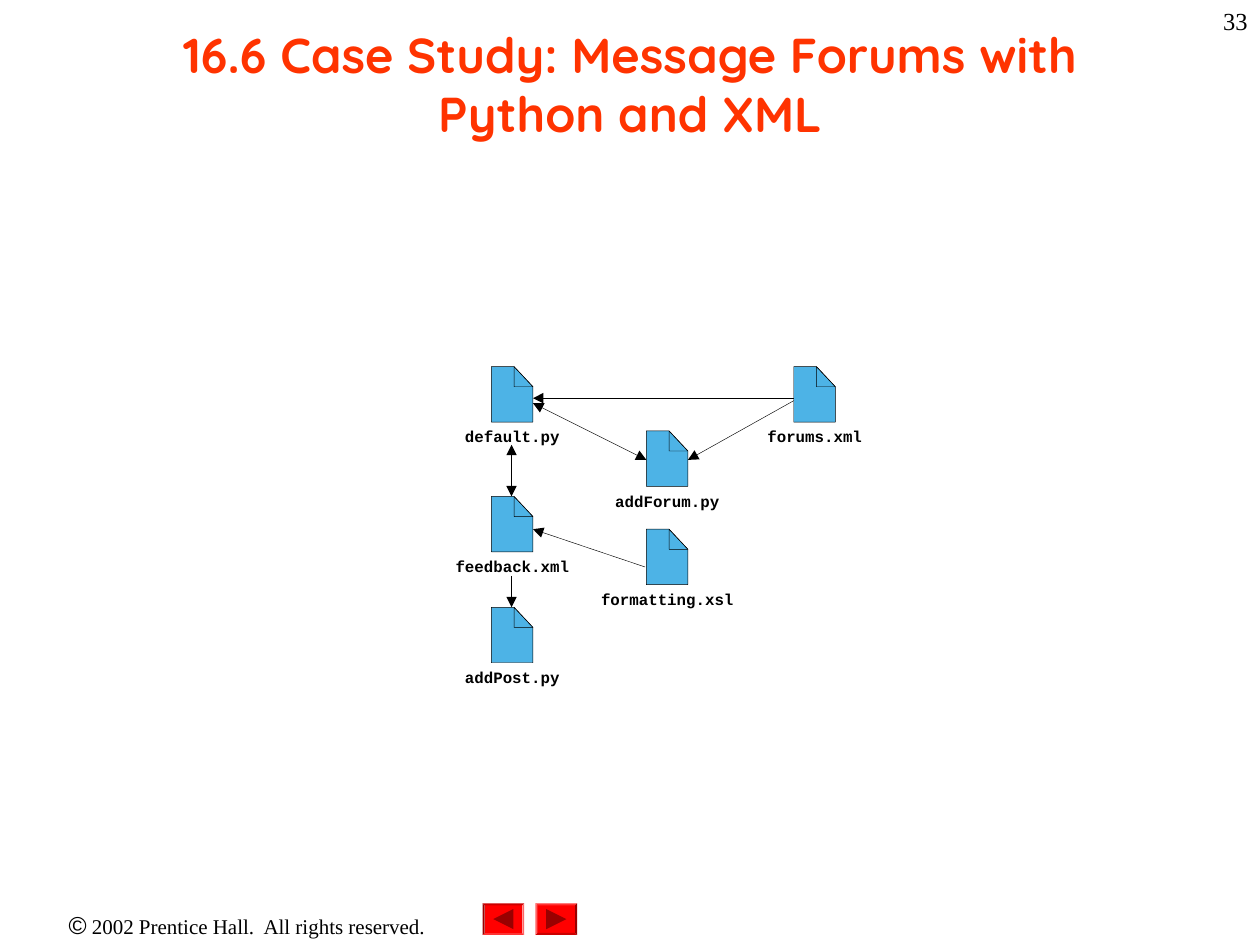
from dataclasses import dataclass

from lxml.etree import SubElement
from pptx import Presentation
from pptx.dml.color import RGBColor
from pptx.enum.shapes import MSO_CONNECTOR as Connector, MSO_SHAPE as Shape
from pptx.enum.text import MSO_ANCHOR as Anchor, PP_ALIGN as Align
from pptx.oxml.ns import qn
from pptx.util import Inches, Pt


@dataclass(frozen=True)
class Theme:
    black: RGBColor = RGBColor(0, 0, 0)
    title: RGBColor = RGBColor(0xFF, 0x33, 0x00)
    file: RGBColor = RGBColor(0x4D, 0xB3, 0xE6)
    button: RGBColor = RGBColor(0xFF, 0, 0)
    arrow: RGBColor = RGBColor(0x99, 0, 0)
    title_size: Pt = Pt(28)
    large: Pt = Pt(14)
    small: Pt = Pt(12)
    label: Pt = Pt(9)
    hairline: Pt = Pt(0.25)


theme = Theme()
deck = Presentation()
deck.slide_width, deck.slide_height = Inches(10), Inches(7.5)
page = deck.slides.add_slide(deck.slide_layouts[6])


def add_text(area, spans, align, anchor=Anchor.TOP, margins=(0.1, 0.05)):
    box = page.shapes.add_textbox(*map(Inches, area))
    side, edge = map(Inches, margins)
    frame = {"word_wrap": True, "vertical_anchor": anchor,
             "margin_left": side, "margin_right": side,
             "margin_top": edge, "margin_bottom": edge}
    for name, value in frame.items():
        setattr(box.text_frame, name, value)
    para = box.text_frame.paragraphs[0]
    para.alignment = align
    for text, face, size, color, bold in spans:
        span = para.add_run()
        span.text = text
        span.font.color.rgb = color
        for name, value in {"name": face, "size": size, "bold": bold}.items():
            setattr(span.font, name, value)


def add_outline(points, fill=None, line=None):
    corners = [(Inches(x), Inches(y)) for x, y in points]
    builder = page.shapes.build_freeform(*corners[0], scale=1.0)
    builder.add_line_segments(corners[1:], close=True)
    outline = builder.convert_to_shape()
    outline.shadow.inherit = False
    for part, color in ((outline.fill, fill), (outline.line.fill, line)):
        if color is None:
            part.background()
        else:
            part.solid()
            part.fore_color.rgb = color
    if line is not None:
        outline.line.width = theme.hairline


add_text((0, 7.17, 3.92, 0.34), [
    ("©", "Arial", theme.large, theme.black, False),
    (" 2002 Prentice Hall.  All rights reserved.", "Times New Roman",
     theme.small, theme.black, False),
], Align.CENTER)

button_top, button_width, button_height = 7.17, 0.33, 0.25
for left, direction, rotation in ((4.25, 1, 0), (3.83, -1, 180)):
    button = page.shapes.add_shape(Shape.BEVEL, Inches(left), Inches(button_top),
                                   Inches(button_width), Inches(button_height))
    button.adjustments[0] = 0.06
    button.rotation = rotation
    button.shadow.inherit = False
    button.fill.solid()
    button.fill.fore_color.rgb = theme.button
    button.line.fill.background()
    x, y = left + button_width / 2, button_top + button_height / 2
    back, tip = x - 0.08 * direction, x + 0.08 * direction
    add_outline([(back, y - 0.08), (tip, y), (back, y + 0.08)], fill=theme.arrow)

add_text((0.75, 0.08, 8.5, 1.17), [
    ("16.6 Case Study: Message Forums with Python and XML", "Quicksand",
     theme.title_size, theme.title, True),
], Align.CENTER, Anchor.MIDDLE)

links = [
    ((5.13, 3.65), (4.23, 3.2), ("headEnd", "tailEnd")),
    ((4.06, 4.57), (4.06, 4.82), ("tailEnd",)),
    ((4.06, 3.94), (4.06, 3.53), ("headEnd", "tailEnd")),
    ((5.12, 4.5), (4.23, 4.2), ("tailEnd",)),
    ((6.3, 3.16), (4.23, 3.16), ("tailEnd",)),
    ((6.3, 3.18), (5.46, 3.65), ("tailEnd",)),
]
for start, end, arrowheads in links:
    link = page.shapes.add_connector(Connector.STRAIGHT, *map(Inches, start + end))
    link.line.color.rgb = theme.black
    link.line.width = theme.hairline
    stroke = link.line._get_or_add_ln()
    for arrowhead in arrowheads:
        SubElement(stroke, qn(f"a:{arrowhead}"), type="triangle")
    SubElement(link._element.spPr, qn("a:effectLst"))

file_width, file_height, fold_left, fold_height = 0.33, 0.44, 0.18, 0.16
label_width, label_height, label_drop = 1.42, 0.18, 0.48
files = [
    ("default.py", 3.9, 2.91),
    ("feedback.xml", 3.9, 3.94),
    ("addPost.py", 3.9, 4.82),
    ("addForum.py", 5.13, 3.42),
    ("formatting.xsl", 5.13, 4.2),
    ("forums.xml", 6.3, 2.91),
]
for name, left, top in files:
    right, bottom = left + file_width, top + file_height
    fold_x, fold_y = left + fold_left, top + fold_height
    add_outline([(fold_x, top), (right, fold_y), (right, bottom),
                 (left, bottom), (left, top)], theme.file, theme.black)
    add_outline([(right, fold_y), (fold_x, fold_y), (fold_x, top)],
                line=theme.black)
    label_left = left + (file_width - label_width) / 2
    add_text((label_left, top + label_drop, label_width, label_height),
             [(name, "Courier New", theme.label, theme.black, True)],
             Align.CENTER, margins=(0, 0))

add_text((7.92, 0, 2.08, 0.5),
         [("33", "Times New Roman", theme.large, theme.black, False)], Align.RIGHT)

deck.save("out.pptx")
